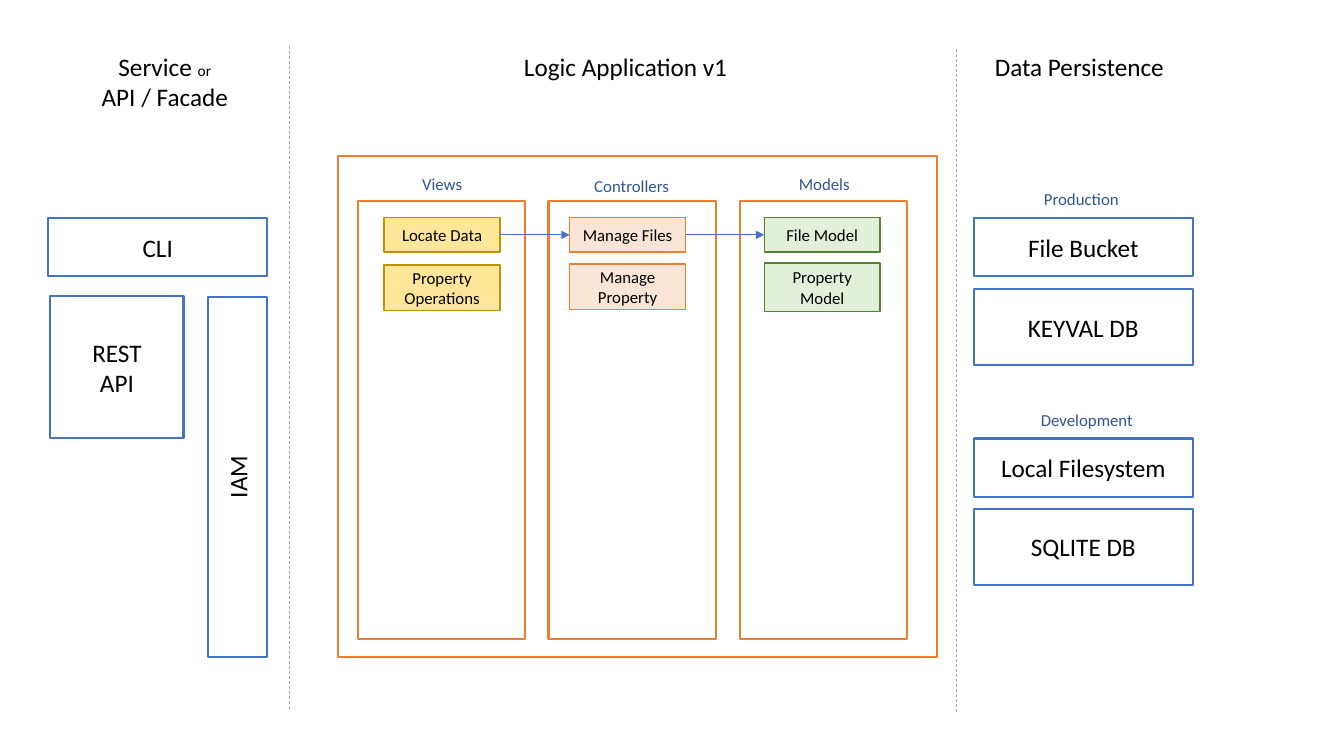
from lxml import etree
from pptx import Presentation
from pptx import util as u
from pptx.dml.color import RGBColor
from pptx.enum import dml, shapes, text
from pptx.oxml import ns

COLORS = {
    "white": "FFFFFF", "black": "000000", "blue": "4472C4", "navy": "2F5597",
    "orange": "ED7D31", "gray": "A5A5A5", "peach": "FBE5D6", "yellow": "FFE699",
    "gold": "BF9000", "mint": "E2F0D9", "green": "548235",
}
PX = 9144


class Diagram:
    font_name = "Calibri"
    box_frame = {"word_wrap": True, "vertical_anchor": text.MSO_ANCHOR.MIDDLE}
    label_frame = {
        "word_wrap": True,
        "vertical_anchor": text.MSO_ANCHOR.TOP,
        "auto_size": text.MSO_AUTO_SIZE.SHAPE_TO_FIT_TEXT,
    }

    def __init__(self, slide):
        self.slide = slide

    def color(self, name):
        return RGBColor.from_string(COLORS[name])

    def fill_text(self, frame, lines, size, color, frame_format):
        for key, value in frame_format.items():
            setattr(frame, key, value)
        for number, line in enumerate(lines):
            paragraph = frame.add_paragraph() if number else frame.paragraphs[0]
            paragraph.alignment = text.PP_ALIGN.CENTER
            runs = [(line, size)] if isinstance(line, str) else line
            for words, points in runs:
                run = paragraph.add_run()
                run.text = words
                font = {"name": self.font_name, "size": u.Pt(points)}
                for key, value in font.items():
                    setattr(run.font, key, value)
                run.font.color.rgb = self.color(color)

    def box(self, x, y, w, h, lines=(), fill="white", line="blue", width=1.5, size=18, turn=0):
        box = self.slide.shapes.add_shape(
            shapes.MSO_SHAPE.RECTANGLE, *(n * PX for n in (x, y, w, h)))
        box.shadow.inherit = False
        box.rotation = turn
        box.fill.solid()
        box.fill.fore_color.rgb = self.color(fill)
        box.line.color.rgb = self.color(line)
        box.line.width = u.Pt(width)
        self.fill_text(box.text_frame, lines, size, "black", self.box_frame)
        return box

    def label(self, x, y, w, h, lines, size=18, color="black"):
        label = self.slide.shapes.add_textbox(*(n * PX for n in (x, y, w, h)))
        self.fill_text(label.text_frame, lines, size, color, self.label_frame)

    def line(self, x1, y1, x2, y2, color):
        line = self.slide.shapes.add_connector(
            shapes.MSO_CONNECTOR.STRAIGHT, *(n * PX for n in (x1, y1, x2, y2)))
        line.line.color.rgb = self.color(color)
        line.line.width = u.Pt(0.5)
        etree.SubElement(line._element.spPr, ns.qn("a:effectLst"))
        return line

    def divider(self, x, y):
        self.line(x, y, x, y + 658, "gray").line.dash_style = dml.MSO_LINE.DASH

    def arrow(self, source, target):
        arrow = self.line(0, 0, 0, 0, "blue")
        arrow.begin_connect(source, 3)
        arrow.end_connect(target, 1)
        outline = arrow._element.spPr.find(ns.qn("a:ln"))
        etree.SubElement(outline, ns.qn("a:tailEnd"), type="triangle")


def main():
    deck = Presentation()
    deck.slide_width, deck.slide_height = u.Inches(13.33), u.Inches(7.5)
    diagram = Diagram(deck.slides.add_slide(deck.slide_layouts[6]))

    diagram.label(51, 46, 225, 71, [[("Service ", 18), ("or", 11)], "API / Facade"])
    diagram.label(303, 46, 635, 40, ["Logic Application v1"])
    diagram.label(958, 46, 225, 40, ["Data Persistence"])
    diagram.divider(287, 46)
    diagram.divider(949, 49)

    diagram.box(48, 216, 217, 58, ["CLI"])
    diagram.box(50, 294, 132, 141, ["REST", "API"])
    diagram.box(57, 444, 357, 58, ["IAM"], turn=270)

    stores = [
        (1019, 182, 107, "Production", 216, "File Bucket", 287, "KEYVAL DB"),
        (1019, 402, 118, "Development", 435, "Local Filesystem", 505, "SQLITE DB"),
    ]
    for x, y, w, stage, files_y, files, database_y, database in stores:
        diagram.label(x, y, w, 30, [stage], 12, "navy")
        diagram.box(966, files_y, 217, 58, [files])
        diagram.box(966, database_y, 217, 75, [database])

    diagram.box(335, 155, 594, 497, line="orange")
    layers = [
        (355, "Views", 385, 167, 381, "yellow", "gold",
         "Locate Data", ["Property", "Operations"], 263, 45),
        (544, "Controllers", 573, 169, 565, "peach", "orange",
         "Manage Files", ["Manage Property"], 262, 45),
        (734, "Models", 764, 167, 758, "mint", "green",
         "File Model", ["Property Model"], 261, 48),
    ]
    file_parts = []
    for x, layer, label_x, label_y, part_x, fill, edge, files, properties, y, h in layers:
        diagram.box(x, 199, 166, 435, line="orange")
        diagram.label(label_x, label_y, 107, 30, [layer], 12, "navy")
        style = {"fill": fill, "line": edge, "width": 1, "size": 12}
        file_parts.append(diagram.box(part_x, 216, 115, 34, [files], **style))
        diagram.box(part_x, y, 115, h, properties, **style)
    for source, target in zip(file_parts, file_parts[1:]):
        diagram.arrow(source, target)

    deck.save("out.pptx")


if __name__ == "__main__":
    main()
